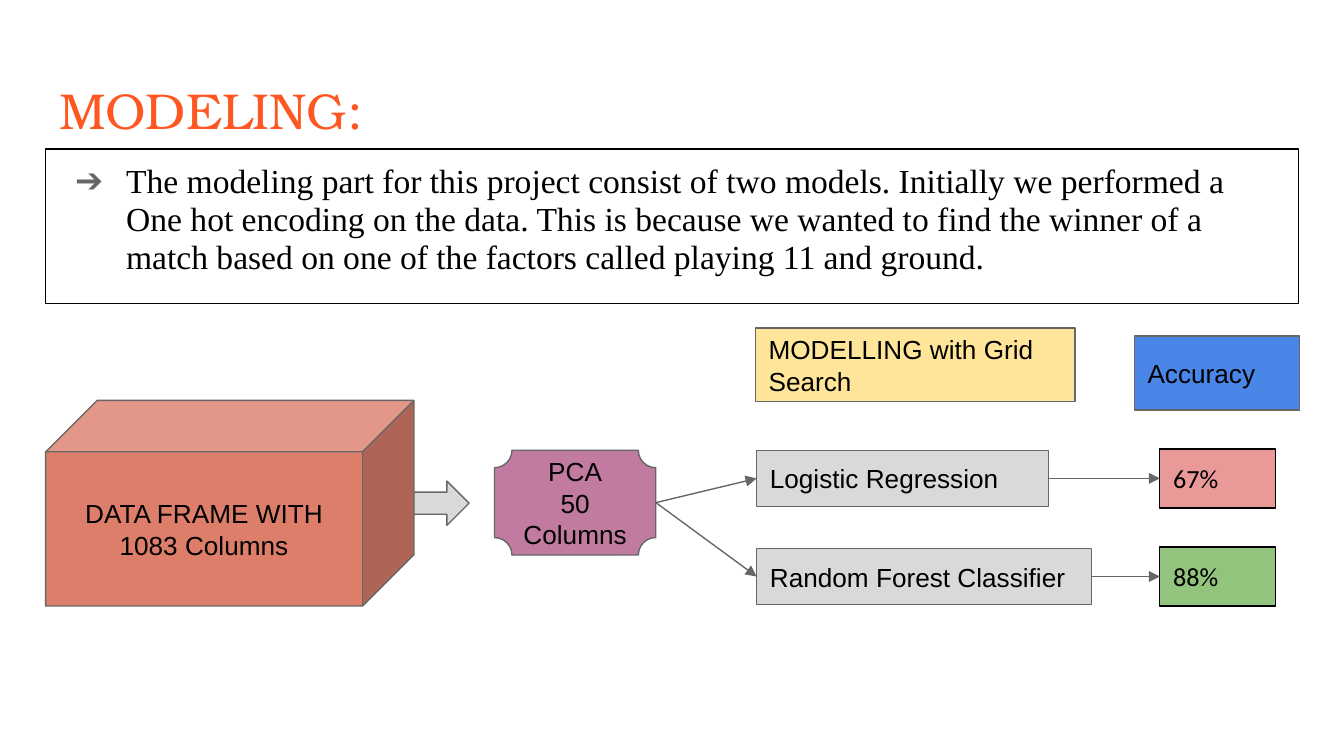
from dataclasses import dataclass

import pptx
import pptx.dml.color
import pptx.enum.shapes
import pptx.enum.text
import pptx.oxml.ns
import pptx.shapes.autoshape
import pptx.slide
import pptx.text.text
import pptx.util
from lxml import etree
from pptx.dml.color import RGBColor
from pptx.enum.shapes import MSO_SHAPE
from pptx.enum.text import MSO_ANCHOR, MSO_AUTO_SIZE, PP_ALIGN
from pptx.util import Inches

ORANGE = RGBColor(0xFF, 0x57, 0x22)
BLACK = RGBColor(0x00, 0x00, 0x00)
GRAY = RGBColor(0x66, 0x66, 0x66)
SILVER = RGBColor(0xD9, 0xD9, 0xD9)
TERRACOTTA = RGBColor(0xDD, 0x7E, 0x6B)
MAUVE = RGBColor(0xC2, 0x7B, 0xA0)
YELLOW = RGBColor(0xFF, 0xE5, 0x99)
BLUE = RGBColor(0x4A, 0x86, 0xE8)
GREEN = RGBColor(0x93, 0xC4, 0x7D)
PINK = RGBColor(0xEA, 0x99, 0x99)

LEFT, RIGHT = 1, 3
MARGIN = 0.34
CONTENT_WIDTH = 9.32
MODEL_LEFT = 5.63
MODEL_HEIGHT = 0.42
SCORE_LEFT = 8.63
SCORE_WIDTH = 0.86
SCORE_HEIGHT = 0.44


@dataclass(frozen=True)
class Block:
    left: float
    top: float
    width: float
    height: float
    fill: RGBColor | None
    lines: tuple[str, ...] = ()
    kind: MSO_SHAPE = MSO_SHAPE.RECTANGLE
    line: RGBColor = GRAY
    align: PP_ALIGN = PP_ALIGN.LEFT
    anchor: MSO_ANCHOR = MSO_ANCHOR.MIDDLE
    font: str = "Arial"
    size: float = 14
    grows: bool = False


@dataclass(frozen=True)
class Model:
    name: str
    middle: float
    width: float
    score: str
    score_fill: RGBColor


MODELS = (
    Model("Logistic Regression", 3.56, 2.17, "67%", PINK),
    Model("Random Forest Classifier", 4.29, 2.49, "88%", GREEN),
)


def set_frame(frame: pptx.text.text.TextFrame, anchor: MSO_ANCHOR) -> None:
    frame.word_wrap = True
    frame.vertical_anchor = anchor
    frame.margin_left = frame.margin_right = Inches(0.1)
    frame.margin_top = frame.margin_bottom = Inches(0.1)


def add_span(para, text: str, font: str, size: float, color: RGBColor) -> None:
    span = para.add_run()
    span.text = text
    span.font.name = font
    span.font.size = pptx.util.Pt(size)
    span.font.color.rgb = color


def add_block(page: pptx.slide.Slide, block: Block) -> pptx.shapes.autoshape.Shape:
    box = page.shapes.add_shape(
        block.kind, Inches(block.left), Inches(block.top),
        Inches(block.width), Inches(block.height),
    )
    box.shadow.inherit = False
    if block.fill is None:
        box.fill.background()
    else:
        box.fill.solid()
        box.fill.fore_color.rgb = block.fill
    box.line.color.rgb = block.line
    box.line.width = pptx.util.Pt(0.75)
    frame = box.text_frame
    set_frame(frame, block.anchor)
    if block.grows:
        frame.auto_size = MSO_AUTO_SIZE.SHAPE_TO_FIT_TEXT
    for index, text in enumerate(block.lines):
        para = frame.add_paragraph() if index else frame.paragraphs[0]
        para.alignment = block.align
        add_span(para, text, block.font, block.size, BLACK)
    return box


def add_bullet(para, mark: str, color: RGBColor) -> None:
    properties = para._p.get_or_add_pPr()
    properties.set("marL", str(Inches(0.5)))
    properties.set("indent", str(Inches(-0.38)))
    qn = pptx.oxml.ns.qn
    bullet_color = etree.SubElement(properties, qn("a:buClr"))
    etree.SubElement(bullet_color, qn("a:srgbClr"), val=str(color))
    etree.SubElement(properties, qn("a:buFont"), typeface="Arial")
    etree.SubElement(properties, qn("a:buChar"), char=mark)


def add_arrow(page: pptx.slide.Slide, start, end) -> None:
    arrow = page.shapes.add_connector(
        pptx.enum.shapes.MSO_CONNECTOR.STRAIGHT, 0, 0, 0, 0
    )
    arrow.begin_connect(start, RIGHT)
    arrow.end_connect(end, LEFT)
    arrow.line.color.rgb = GRAY
    arrow.line.width = pptx.util.Pt(0.75)
    qn = pptx.oxml.ns.qn
    etree.SubElement(arrow.line._get_or_add_ln(), qn("a:tailEnd"), type="triangle")
    etree.SubElement(arrow._element.spPr, qn("a:effectLst"))


def add_title(page: pptx.slide.Slide, text: str) -> None:
    title = page.shapes.title
    title.left, title.top = Inches(MARGIN), Inches(0.49)
    title.width, title.height = Inches(CONTENT_WIDTH), Inches(0.63)
    set_frame(title.text_frame, MSO_ANCHOR.TOP)
    para = title.text_frame.paragraphs[0]
    para.alignment = PP_ALIGN.LEFT
    add_span(para, text, "TeX Gyre Bonum", 27, ORANGE)


def add_summary(page: pptx.slide.Slide, text: str) -> None:
    summary = add_block(page, Block(
        MARGIN, 1.11, CONTENT_WIDTH, 1.15, None, (text,), line=BLACK,
        anchor=MSO_ANCHOR.TOP, font="Times New Roman", size=18,
    ))
    para = summary.text_frame.paragraphs[0]
    para.line_spacing = 0.95
    add_bullet(para, "➔", GRAY)


def add_model(page: pptx.slide.Slide, model: Model, source) -> None:
    name_box = add_block(page, Block(
        MODEL_LEFT, model.middle - MODEL_HEIGHT / 2, model.width, MODEL_HEIGHT,
        SILVER, (model.name,),
    ))
    score_box = add_block(page, Block(
        SCORE_LEFT, model.middle - SCORE_HEIGHT / 2, SCORE_WIDTH, SCORE_HEIGHT,
        model.score_fill, (model.score,), line=BLACK,
        anchor=MSO_ANCHOR.TOP, font="Calibri", grows=True,
    ))
    add_arrow(page, source, name_box)
    add_arrow(page, name_box, score_box)


def main() -> None:
    deck = pptx.Presentation()
    deck.slide_width = Inches(10)
    deck.slide_height = deck.slide_width * 9 // 16
    page = deck.slides.add_slide(deck.slide_layouts.get_by_name("Title Only"))
    add_title(page, "MODELING:")
    add_summary(
        page,
        "The modeling part for this project consist of two models. "
        "Initially we performed a One hot encoding on the data. "
        "This is because we wanted to find the winner of a match "
        "based on one of the factors called playing 11 and ground.",
    )
    add_block(page, Block(
        MARGIN, 2.98, 2.74, 1.53, TERRACOTTA, ("DATA FRAME WITH 1083 Columns",),
        kind=MSO_SHAPE.CUBE, align=PP_ALIGN.CENTER,
    ))
    add_block(page, Block(3.08, 3.58, 0.41, 0.33, SILVER, kind=MSO_SHAPE.RIGHT_ARROW))
    reduction = add_block(page, Block(
        3.68, 3.35, 1.2, 0.78, MAUVE, ("PCA", "50 Columns"),
        kind=MSO_SHAPE.PLAQUE, align=PP_ALIGN.CENTER,
    ))
    add_block(page, Block(5.62, 2.44, 2.38, 0.55, YELLOW, ("MODELLING with Grid Search",)))
    add_block(page, Block(8.44, 2.5, 1.23, 0.55, BLUE, ("Accuracy",)))
    for model in MODELS:
        add_model(page, model, reduction)
    deck.save("out.pptx")


if __name__ == "__main__":
    main()
